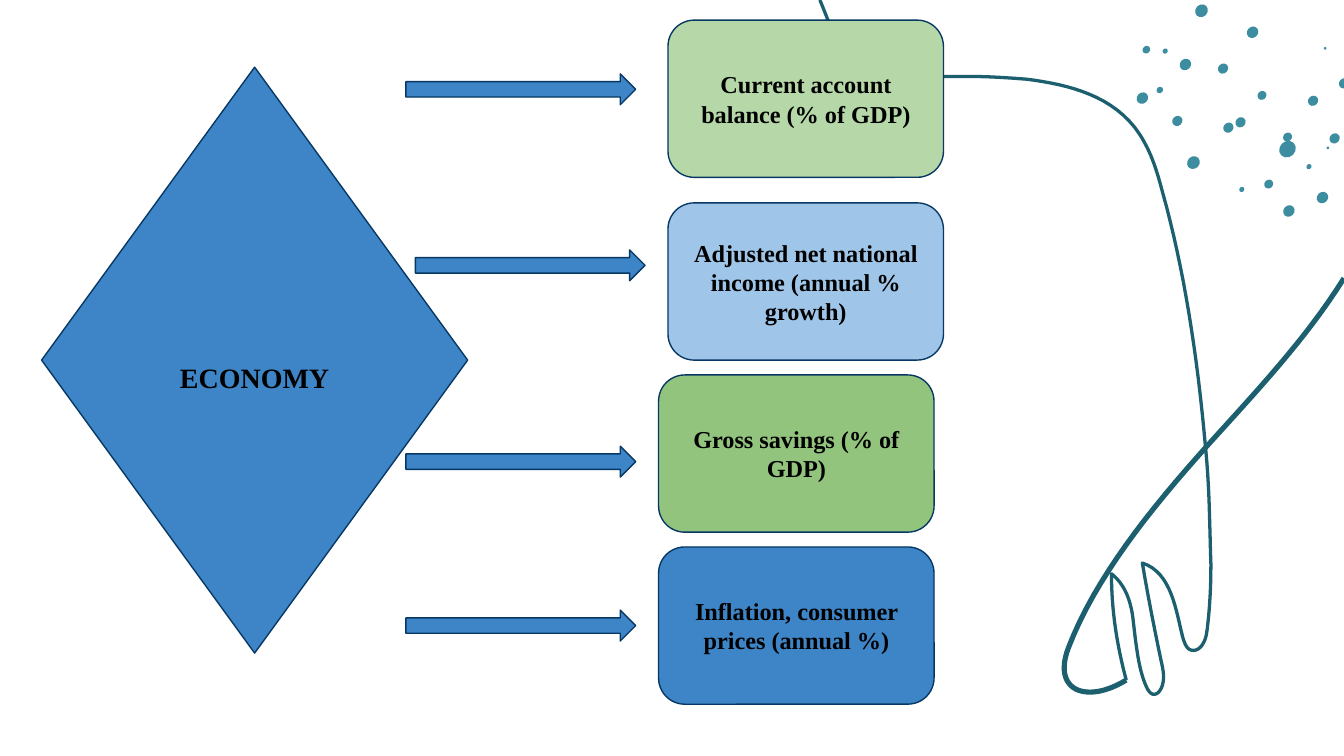
from pptx import Presentation
from pptx.dml.color import RGBColor
from pptx.enum.shapes import MSO_SHAPE as Kind
from pptx.enum.text import MSO_ANCHOR as Anchor, PP_ALIGN as Align
from pptx.util import Inches, Pt

BLUE, NAVY, TEAL, DOT = "3D85C6", "073763", "1C5F6F", "3C8DA0"
ITEMS = [
    ("Current account balance (% of GDP)", "B6D7A8", 4.97, 0.15, 3.02, 0.55),
    ("Adjusted net national income (annual % growth)", "9FC5E8", 4.97, 1.51, 3.09, 1.86),
    ("Gross savings (% of GDP)", "93C47D", 4.9, 2.79, 3.02, 3.32),
    ("Inflation, consumer prices (annual %)", BLUE, 4.9, 4.07, 3.02, 4.54),
]
DOTS = [
    (9.58, 1.11, 0.13), (9.74, 1.24, 0.04), (9.88, 1.1, 0.02), (9.93, 1.03, 0.08),
    (9.77, 0.75, 0.08), (9.58, 1.02, 0.07), (9.39, 0.71, 0.07), (9.23, 0.91, 0.08),
    (9.14, 0.95, 0.08), (9.1, 0.51, 0.08), (8.76, 0.9, 0.08), (8.82, 0.48, 0.09),
    (8.63, 0.67, 0.05), (8.5, 0.73, 0.09), (8.67, 0.38, 0.04), (8.53, 0.37, 0.06),
    (8.88, 1.21, 0.1), (9.86, 0.36, 0.02), (10, 0.62, 0.08), (9.84, 1.47, 0.09),
    (9.59, 1.57, 0.09), (9.44, 1.37, 0.07), (9.24, 1.41, 0.04), (9.32, 0.24, 0.09),
    (8.94, 0.08, 0.1),
]
LOOP = [
    (6.1, 0), (6.21, 0.25), (6.28, 0.61), (6.69, 0.61),
    (6.8, 0.61), (6.92, 0.58), (7.03, 0.57), (7.1, 0.57), (7.17, 0.57), (7.24, 0.57),
    (7.37, 0.57), (7.51, 0.58), (7.64, 0.59), (7.95, 0.63), (8.29, 0.71), (8.48, 1),
    (8.57, 1.14), (8.61, 1.28), (8.65, 1.43), (8.81, 2), (8.91, 2.65), (8.97, 3.33),
    (9, 3.62), (9, 3.91), (9.01, 4.2), (9.01, 4.38), (9, 4.55), (8.98, 4.7),
    (8.97, 4.78), (8.93, 4.84), (8.88, 4.84), (8.84, 4.84), (8.82, 4.81), (8.8, 4.74),
    (8.75, 4.55), (8.72, 4.26), (8.5, 4.19), (8.54, 4.43), (8.59, 4.68), (8.64, 4.92),
    (8.66, 5), (8.67, 5.08), (8.63, 5.14), (8.6, 5.18), (8.56, 5.18), (8.53, 5.11),
    (8.48, 5), (8.46, 4.87), (8.43, 4.6), (8.41, 4.45), (8.36, 4.34), (8.27, 4.27),
    (8.27, 4.54), (8.31, 4.8), (8.38, 5.06),
]
SWEEP = [
    (8.38, 5.06), (8.3, 5.11), (8.2, 5.15), (8.11, 5.15),
    (7.95, 5.15), (7.87, 5.03), (7.95, 4.82), (8.15, 4.3), (8.55, 3.8), (8.98, 3.32),
    (9.35, 2.91), (9.72, 2.52), (10, 2.07),
]
STEPS = 16


def color(code):
    return RGBColor.from_string(code)


def add(kind, left, top, width, height, fill, line=None):
    shape = slide.shapes.add_shape(kind, *map(Inches, (left, top, width, height)))
    shape.shadow.inherit = False
    shape.fill.solid()
    shape.fill.fore_color.rgb = color(fill)
    if line:
        shape.line.color.rgb = color(line)
        shape.line.width = Pt(0.75)
    else:
        shape.line.fill.background()
    return shape


def label(shape, text, size, top=0.1):
    frame = shape.text_frame
    frame.word_wrap = True
    frame.vertical_anchor = Anchor.MIDDLE
    frame.margin_left = frame.margin_right = frame.margin_bottom = Inches(0.1)
    frame.margin_top = Inches(top)
    para = frame.paragraphs[0]
    para.text = text
    para.alignment = Align.CENTER
    font = para.font
    font.name, font.size, font.bold = "Times New Roman", Pt(size), True
    font.color.rgb = color("000000")


def bend(a, b, c, d, t):
    u = 1 - t
    return tuple(
        Inches(u**3 * p + 3 * u * u * t * q + 3 * u * t * t * r + t**3 * s)
        for p, q, r, s in zip(a, b, c, d)
    )


def curve(knots, width):
    points = [
        bend(*knots[i:i + 4], n / STEPS)
        for i in range(0, len(knots) - 1, 3)
        for n in range(1, STEPS + 1)
    ]
    pen = slide.shapes.build_freeform(*map(Inches, knots[0]))
    pen.add_line_segments(points, close=False)
    shape = pen.convert_to_shape()
    shape.shadow.inherit = False
    shape.fill.background()
    shape.line.color.rgb = color(TEAL)
    shape.line.width = Pt(width)


deck = Presentation()
deck.slide_width = Inches(10)
deck.slide_height = deck.slide_width * 9 // 16
slide = deck.slides.add_slide(deck.slide_layouts[6])

for x, y, size in DOTS:
    high = size * 0.9
    dot = add(Kind.OVAL, x - size / 2, y - high / 2, size, high, DOT)
    dot.rotation = 315

curve(LOOP, 1.75)
curve(SWEEP, 2.75)

label(add(Kind.DIAMOND, 0.31, 0.5, 3.17, 4.36, BLUE, NAVY), "ECONOMY", 15, 0.35)
for text, fill, left, top, tail, level in ITEMS:
    label(add(Kind.ROUNDED_RECTANGLE, left, top, 2.05, 1.17, fill, NAVY), text, 13)
    add(Kind.RIGHT_ARROW, tail, level, 1.71, 0.23, BLUE, NAVY)

deck.save("out.pptx")
